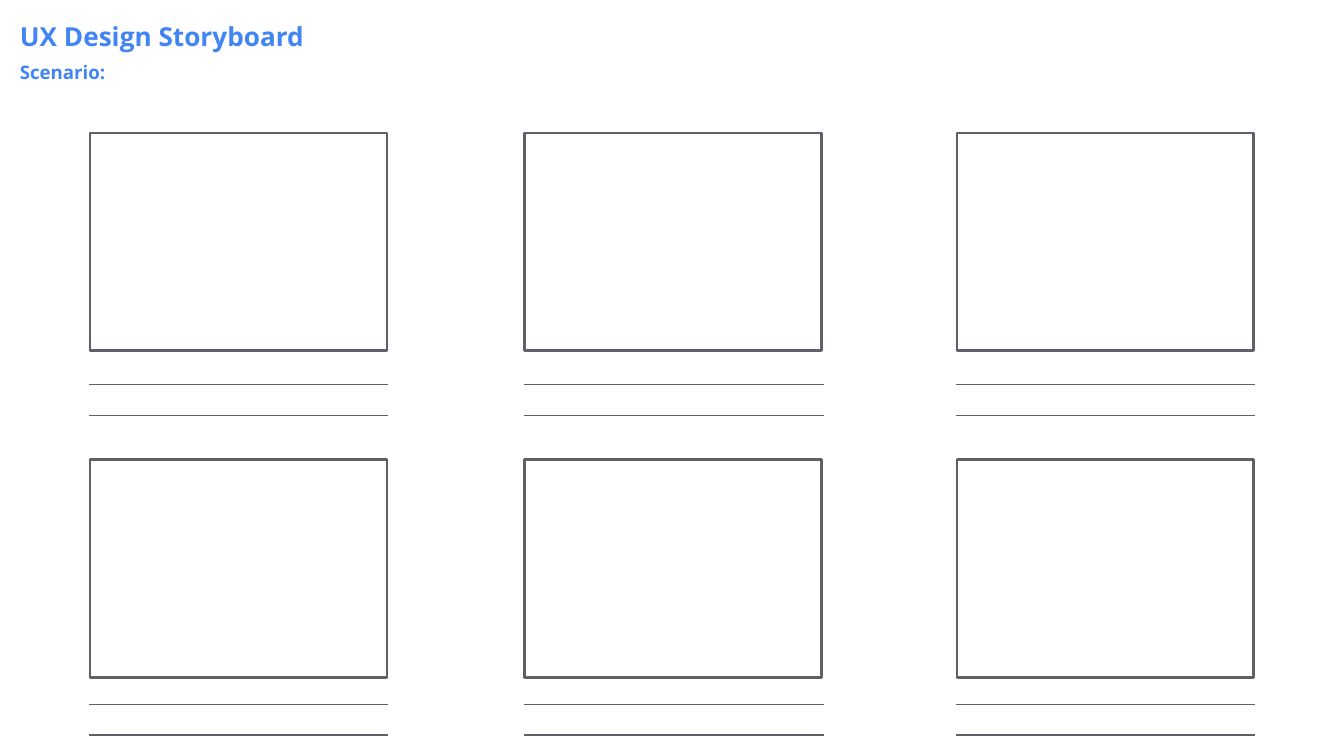
from lxml import etree
from pptx import Presentation
from pptx import util as u
from pptx.dml.color import RGBColor
from pptx.enum import shapes, text
from pptx.oxml.ns import qn

GREY = "5E6268"
BLUE = "4185F4"


def paint_line(line, color, width):
    """Set the colour and the width in points of a line."""
    line.color.rgb = RGBColor.from_string(color)
    line.width = u.Pt(width)


def add_heading(slide, left, top, width, height):
    """Write the title and the scenario label in one text box."""
    box = slide.shapes.add_textbox(*map(u.Inches, (left, top, width, height)))
    frame = box.text_frame
    frame.word_wrap = True
    frame.auto_size = text.MSO_AUTO_SIZE.SHAPE_TO_FIT_TEXT
    frame.margin_left = frame.margin_right = u.Inches(0.1)
    frame.margin_top = frame.margin_bottom = u.Inches(0.1)
    frame.text = "UX Design Storyboard\nScenario:"
    for paragraph, size, gap in zip(frame.paragraphs, (14, 10), (0, 5)):
        paragraph.space_before = u.Pt(gap)
        font = paragraph.font
        font.name = "Open Sans"
        font.size = u.Pt(size)
        font.bold = True
        font.color.rgb = RGBColor.from_string(BLUE)


def add_note_line(slide, left, top, width):
    """Draw one horizontal writing line."""
    line = slide.shapes.add_connector(
        shapes.MSO_CONNECTOR.STRAIGHT,
        *map(u.Inches, (left, top, left + width, top)))
    paint_line(line.line, GREY, 0.75)
    etree.SubElement(line._element.spPr, qn("a:effectLst"))


def add_panel(slide, left, top, width, height, notes_shift, notes_gap):
    """Draw an empty storyboard frame with two writing lines below it."""
    frame = slide.shapes.add_shape(
        shapes.MSO_SHAPE.RECTANGLE,
        *map(u.Inches, (left, top, width, height)))
    frame.shadow.inherit = False
    frame.fill.background()
    paint_line(frame.line, GREY, 1.5)
    for row in range(2):
        add_note_line(slide, left + notes_shift,
                      top + height + notes_gap + row * 0.23, width + 0.02)


def main():
    """Build the storyboard slide and save it."""
    presentation = Presentation()
    presentation.slide_width = u.Inches(10)
    presentation.slide_height = u.Inches(10) * 9 // 16
    slide = presentation.slides.add_slide(presentation.slide_layouts[6])
    for top, notes_gap in ((0.99, 0.25), (3.42, 0.2)):
        for left, notes_shift in ((0.67, -0.01), (3.9, 0), (7.12, -0.01)):
            add_panel(slide, left, top, 2.21, 1.62, notes_shift, notes_gap)
    add_heading(slide, 0.05, 0.05, 9.79, 0.69)
    presentation.save("out.pptx")


main()
